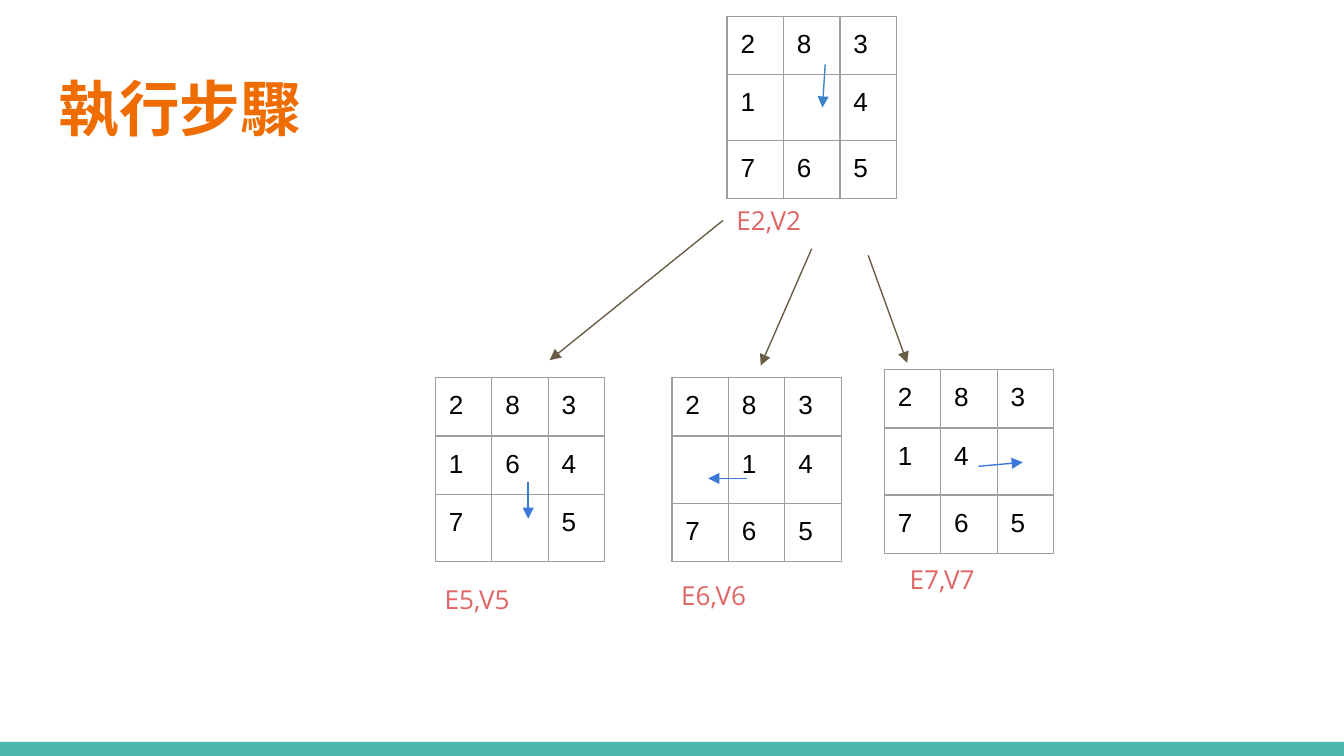
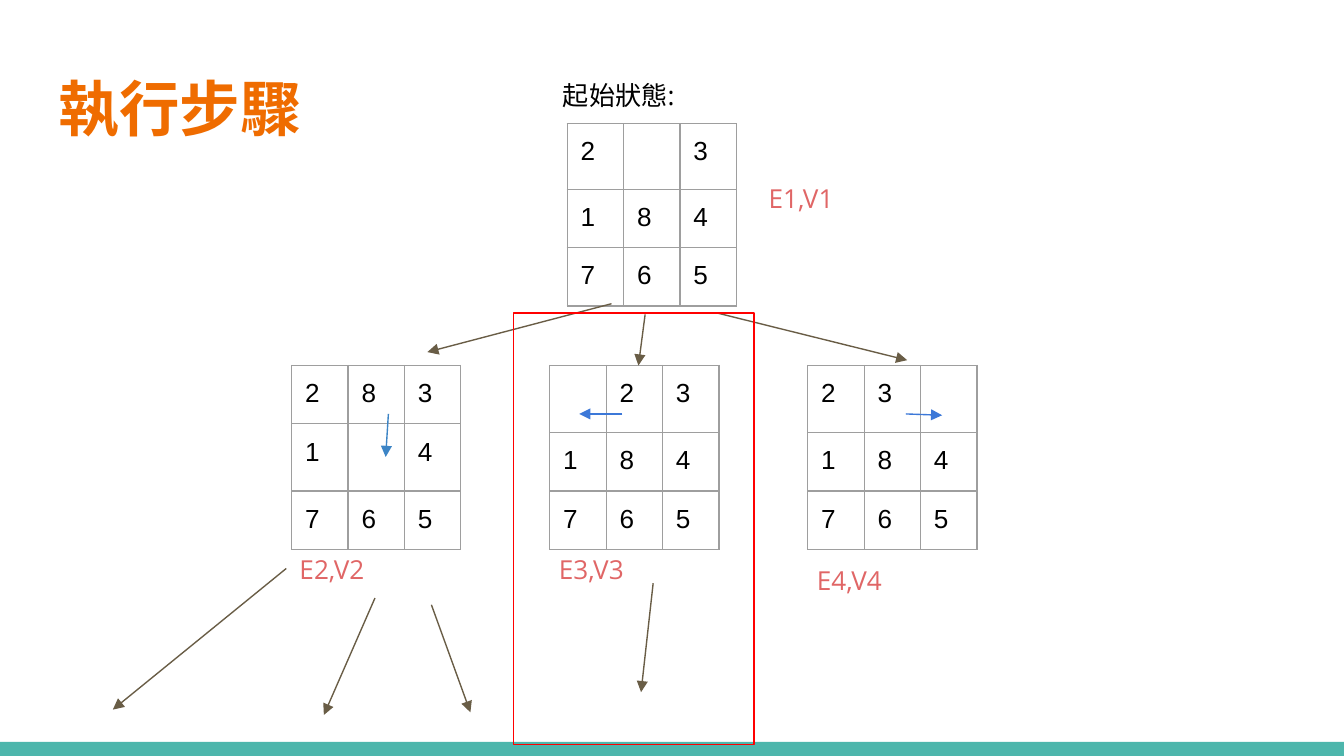
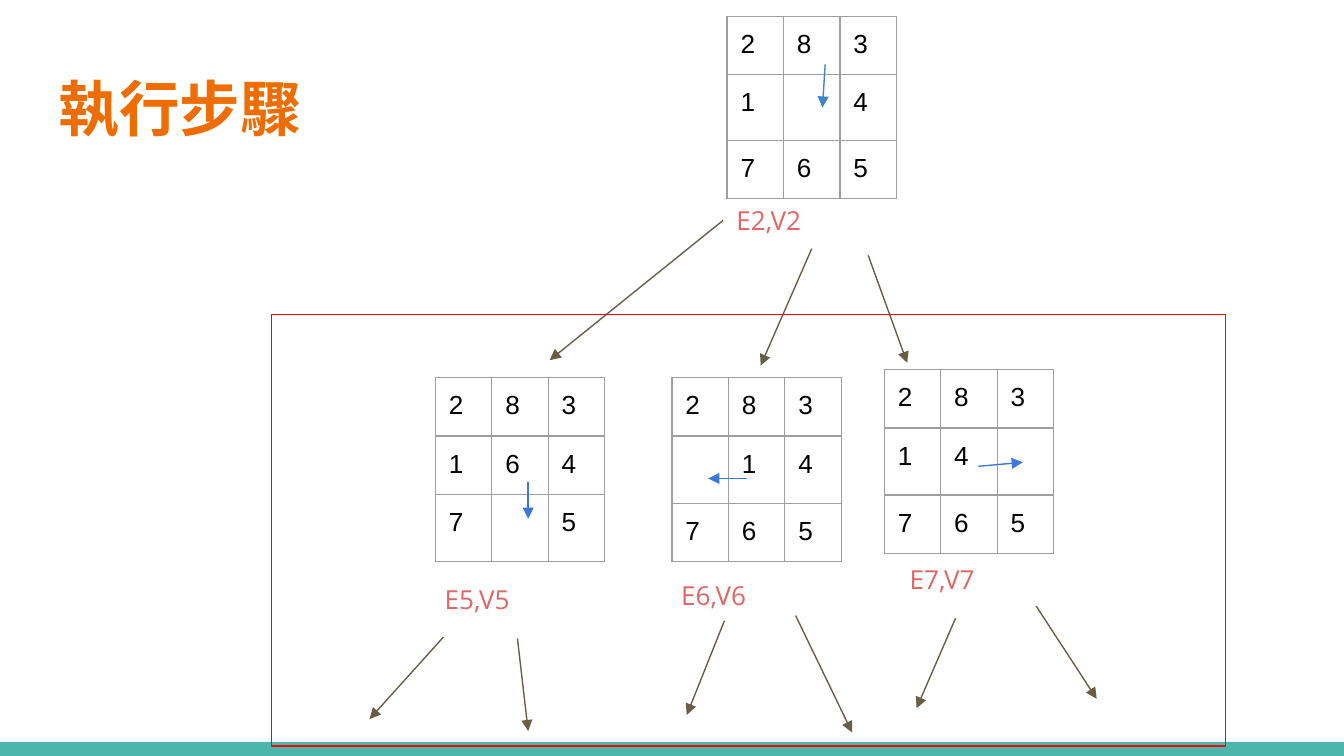
from dataclasses import dataclass

from lxml import etree
from pptx import Presentation
from pptx.dml.color import RGBColor
from pptx.enum.shapes import MSO_CONNECTOR, MSO_SHAPE
from pptx.enum.text import MSO_AUTO_SIZE
from pptx.oxml.ns import qn
from pptx.util import Pt

LINE = MSO_CONNECTOR.STRAIGHT
RECT = MSO_SHAPE.RECTANGLE
GROW = MSO_AUTO_SIZE.SHAPE_TO_FIT_TEXT

SCALE = 4572  # EMU per px, 200 px to the inch
WIDE, HIGH = 2000, 1125
PAD = 20
CELL = 84
EXTRA = 14  # added height of a row that holds the gap
THIN = Pt(0.75)

COLORS = {
    "band": "4DB6AC",
    "title": "EF6C00",
    "label": "E06666",
    "text": "000000",
    "grid": "9E9E9E",
    "branch": "695D46",
    "move": "3C78D8",
    "down": "3D85C6",
    "frame": "FF0000",
}


@dataclass(frozen=True)
class Board:
    x: int
    y: int
    rows: tuple[str, str, str]
    high: int = 86


@dataclass(frozen=True)
class Label:
    x: int
    y: int
    text: str
    width: int = 264
    color: str = "label"


@dataclass(frozen=True)
class Arrow:
    x1: int
    y1: int
    x2: int
    y2: int
    color: str = "branch"


@dataclass(frozen=True)
class Frame:
    x: int
    y: int
    width: int
    height: int


@dataclass(frozen=True)
class Page:
    items: tuple
    width: int = 532


TREE = (
    Board(1082, 24, ("283", "1 4", "765"), 84),
    Board(648, 562, ("283", "164", "7 5")),
    Board(1000, 562, ("283", " 14", "765")),
    Board(1316, 550, ("283", "14 ", "765")),
    Label(1076, 284, "E2,V2"),
    Label(642, 848, "E5,V5"),
    Label(994, 842, "E6,V6"),
    Label(1334, 818, "E7,V7"),
    Arrow(1228, 96, 1224, 160, "down"),
    Arrow(1076, 328, 818, 536),
    Arrow(1208, 370, 1132, 544),
    Arrow(1292, 380, 1350, 540),
    Arrow(786, 718, 786, 772, "move"),
    Arrow(1112, 712, 1054, 712, "move"),
    Arrow(1456, 694, 1522, 688, "move"),
)

START = (
    Board(844, 184, ("2 3", "184", "765"), 84),
    Board(434, 544, ("283", "1 4", "765")),
    Board(818, 544, (" 23", "184", "765")),
    Board(1202, 544, ("23 ", "184", "765")),
    Label(818, 98, "起始狀態:", 366, "text"),
    Label(1124, 252, "E1,V1"),
    Label(426, 804, "E2,V2"),
    Label(812, 804, "E3,V3"),
    Label(1196, 820, "E4,V4"),
    Arrow(910, 452, 636, 524),
    Arrow(960, 468, 950, 544),
    Arrow(1068, 466, 1350, 536),
    Arrow(578, 616, 574, 680, "down"),
    Arrow(926, 616, 862, 616, "move"),
    Arrow(1348, 616, 1402, 618, "move"),
    Arrow(426, 846, 168, 1056),
    Arrow(558, 890, 482, 1064),
    Arrow(642, 900, 700, 1060),
    Frame(764, 466, 358, 642),
    Arrow(972, 868, 954, 1030),
)

NEXT = (
    Frame(404, 468, 1420, 642),
    Arrow(660, 948, 550, 1070),
    Arrow(770, 950, 786, 1088),
    Arrow(1078, 924, 1022, 1064),
    Arrow(1184, 916, 1268, 1090),
    Arrow(1422, 920, 1364, 1054),
    Arrow(1542, 902, 1632, 1040),
)

PAGES = (Page(TREE), Page(START, 1864), Page(TREE + NEXT))


def px(*sizes: int) -> list[int]:
    return [size * SCALE for size in sizes]


def rgb(color: str) -> RGBColor:
    return RGBColor.from_string(COLORS[color])


def pad(box) -> None:
    """Set equal insets on a text frame or a cell."""
    box.margin_left = box.margin_right = PAD * SCALE
    box.margin_top = box.margin_bottom = PAD * SCALE


def add_run(para, text: str, font: str, size: float, color: str, bold: bool = False) -> None:
    run = para.add_run()
    run.text = text
    run.font.name = font
    run.font.size = Pt(size)
    run.font.bold = bold
    run.font.color.rgb = rgb(color)


def add_box(slide, x: int, y: int, width: int, height: int):
    body = slide.shapes.add_textbox(*px(x, y, width, height)).text_frame
    body.word_wrap = True
    pad(body)
    return body


def add_rect(slide, x: int, y: int, width: int, height: int):
    rect = slide.shapes.add_shape(RECT, *px(x, y, width, height))
    rect.shadow.inherit = False
    return rect


def add_base(slide, width: int) -> None:
    """Draw the band and the title that all slides share."""
    band = add_rect(slide, 0, 1104, WIDE, 21)
    band.fill.solid()
    band.fill.fore_color.rgb = rgb("band")
    band.line.fill.background()
    para = add_box(slide, 68, 98, width, 154).paragraphs[0]
    para.line_spacing = 0.9
    add_run(para, "執行步驟", "Arial Narrow", 32.4, "title", True)


def add_edges(cell) -> None:
    props = cell._tc.get_or_add_tcPr()
    for side in ("a:lnL", "a:lnR", "a:lnT", "a:lnB"):
        edge = etree.SubElement(props, qn(side), w=str(THIN))
        fill = etree.SubElement(edge, qn("a:solidFill"))
        etree.SubElement(fill, qn("a:srgbClr"), val=COLORS["grid"])


def add_board(slide, board: Board) -> None:
    size = 3 * CELL
    table = slide.shapes.add_table(3, 3, *px(board.x, board.y, size, size)).table
    table.first_row = table.horz_banding = False
    for r, marks in enumerate(board.rows):
        table.rows[r].height = (board.high + EXTRA * (" " in marks)) * SCALE
        for c, mark in enumerate(marks):
            cell = table.cell(r, c)
            add_edges(cell)
            cell.fill.background()
            if mark != " ":
                pad(cell)
                add_run(cell.text_frame.paragraphs[0], mark, "Arial", 14, "text")


def add_label(slide, label: Label) -> None:
    body = add_box(slide, label.x, label.y, label.width, 88)
    body.auto_size = GROW
    add_run(body.paragraphs[0], label.text, "Open Sans", 14, label.color)


def add_arrow(slide, arrow: Arrow) -> None:
    ends = px(arrow.x1, arrow.y1, arrow.x2, arrow.y2)
    link = slide.shapes.add_connector(LINE, *ends)
    link.line.width = THIN
    link.line.color.rgb = rgb(arrow.color)
    etree.SubElement(link.line._get_or_add_ln(), qn("a:tailEnd"), type="triangle")
    etree.SubElement(link._element.spPr, qn("a:effectLst"))


def add_frame(slide, frame: Frame) -> None:
    rect = add_rect(slide, frame.x, frame.y, frame.width, frame.height)
    rect.fill.background()
    rect.line.width = THIN
    rect.line.color.rgb = rgb("frame")


DRAW = {Board: add_board, Label: add_label, Arrow: add_arrow, Frame: add_frame}


def main() -> None:
    deck = Presentation()
    deck.slide_width, deck.slide_height = px(WIDE, HIGH)
    for page in PAGES:
        slide = deck.slides.add_slide(deck.slide_layouts[6])
        add_base(slide, page.width)
        for item in page.items:
            DRAW[type(item)](slide, item)
    deck.save("out.pptx")


if __name__ == "__main__":
    main()
